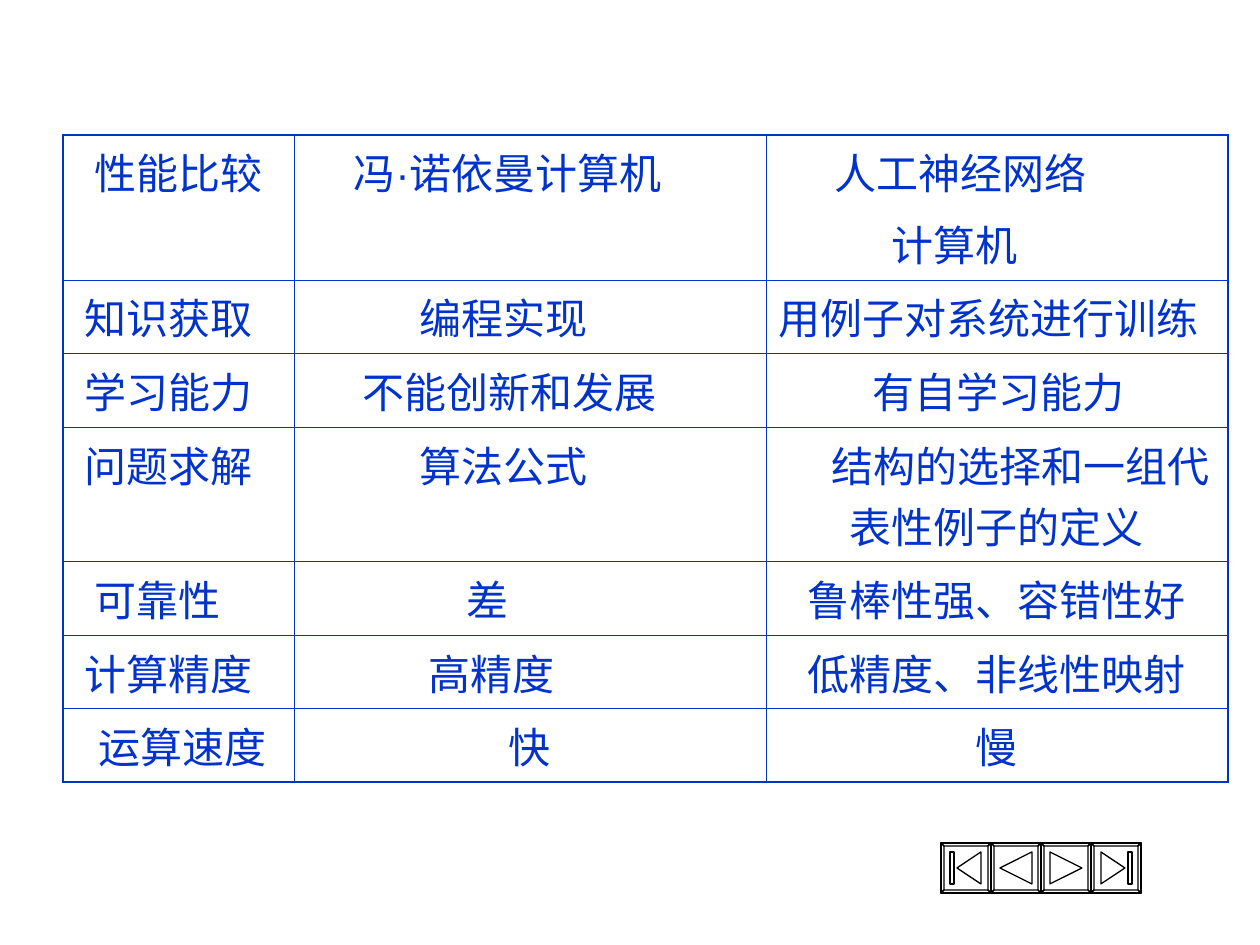
"""Build a slide comparing von Neumann and neural network computers."""
from typing import NamedTuple

from lxml.etree import SubElement
from pptx import Presentation
from pptx.dml.color import RGBColor
from pptx.enum.text import PP_ALIGN as Align
from pptx.oxml.ns import qn
from pptx.util import Emu, Pt

SCALE = 914400 / 126
COLORS = {"blue": "0033CC", "white": "FFFFFF", "black": "000000"}
COLS = (231, 472, 462)
ROWS = (125, 63, 63, 113, 63, 63, 63)
SIZE, BEVEL = 50, 3

Contour = list[tuple[int, int]]


class Para(NamedTuple):
    text: str
    indent: int = 0
    align: Align = Align.LEFT


class Button(NamedTuple):
    left: int
    icon: list[Contour]


TABLE = [
    [[Para("性能比较", 19)], [Para("冯·诺依曼计算机", 47)],
     [Para("人工神经网络", 56), Para("计算机", 113)]],
    [[Para("知识获取", 9)], [Para("编程实现", 113)], [Para("用例子对系统进行训练")]],
    [[Para("学习能力", 9)], [Para("不能创新和发展", 56)], [Para("有自学习能力", 94)]],
    [[Para("问题求解", 9)], [Para("算法公式", 113)],
     [Para("结构的选择和一组代表性例子的定义", 47, Align.CENTER)]],
    [[Para("可靠性", 19)], [Para("差", 160)],
     [Para("鲁棒性强、容错性好", align=Align.CENTER)]],
    [[Para("计算精度", 9)], [Para("高精度", 122)],
     [Para("低精度、非线性映射", align=Align.CENTER)]],
    [[Para("运算速度", 9, Align.CENTER)], [Para("快", align=Align.CENTER)],
     [Para("慢", align=Align.CENTER)]],
]

FIRST = [[(16, 25), (40, 9), (40, 41)], [(9, 9), (13, 9), (13, 41), (9, 41)]]
PREVIOUS = [[(9, 25), (41, 9), (41, 41)]]


def px(n: int) -> Emu:
    """Turn px into EMU."""
    return Emu(round(n * SCALE))


def rgb(name: str) -> RGBColor:
    """Look up a named colour."""
    return RGBColor.from_string(COLORS[name])


def mirror(icon: list[Contour]) -> list[Contour]:
    """Flip an icon from left to right."""
    return [[(SIZE - x, y) for x, y in contour] for contour in icon]


def frame() -> list[Contour]:
    """Give the outline and the four bevels of a button."""
    outer = [(0, 0), (SIZE, 0), (SIZE, SIZE), (0, SIZE)]
    low, high = BEVEL, SIZE - BEVEL
    inner = [(low, low), (high, low), (high, high), (low, high)]
    bevels = [[outer[i - 1], outer[i], inner[i], inner[i - 1]] for i in range(4)]
    return [outer, *bevels]


def add_button(slide, button: Button, top: int) -> None:
    """Draw one navigation button."""
    first, *rest = frame() + button.icon
    builder = slide.shapes.build_freeform(*first[0], scale=SCALE)
    builder.add_line_segments(first[1:], close=True)
    for contour in rest:
        builder.move_to(*contour[0])
        builder.add_line_segments(contour[1:], close=True)
    sp = builder.convert_to_shape(px(button.left), px(top))
    sp.shadow.inherit = False
    sp.fill.solid()
    sp.fill.fore_color.rgb = rgb("white")
    sp.line.color.rgb = rgb("black")
    sp.line.width = Pt(0.75)


def set_borders(cell, **widths: float) -> None:
    """Give a cell its border widths, in points, by side."""
    tcPr = cell._tc.get_or_add_tcPr()
    for i, (side, width) in enumerate(widths.items()):
        ln = SubElement(tcPr, qn(f"a:ln{side}"), w=str(Pt(width)))
        fill = SubElement(ln, qn("a:solidFill"))
        SubElement(fill, qn("a:srgbClr"), val=COLORS["blue"])
        tcPr.insert(i, ln)


def write(tf, paras: list[Para], *, size: int, font: str, color: str,
          gap: int) -> None:
    """Fill a text frame with indented paragraphs."""
    for i, para in enumerate(paras):
        p = tf.add_paragraph() if i else tf.paragraphs[0]
        p.alignment = para.align
        p.space_before = Pt(gap if i else 0)
        p._p.get_or_add_pPr().set("indent", str(px(para.indent)))
        r = p.add_run()
        r.text = para.text
        r.font.size = Pt(size)
        r.font.name = font
        r.font.color.rgb = rgb(color)


def add_comparison(slide, left: int, top: int) -> None:
    """Draw the comparison table."""
    table = slide.shapes.add_table(len(ROWS), len(COLS), px(left), px(top),
                                   px(sum(COLS)), px(sum(ROWS))).table
    table.first_row = table.horz_banding = False
    for column, width in zip(table.columns, COLS):
        column.width = px(width)
    thin, thick = 0.45, 1.08
    for i, (height, row) in enumerate(zip(ROWS, TABLE)):
        table.rows[i].height = px(height)
        for j, paras in enumerate(row):
            cell = table.cell(i, j)
            cell.fill.background()
            set_borders(cell, L=thin if j else thick,
                        R=thick if j == len(COLS) - 1 else thin,
                        T=thin if i else thick,
                        B=thick if i == len(ROWS) - 1 else thin)
            write(cell.text_frame, paras, size=24, font="Arial", color="blue", gap=6)


def main() -> None:
    """Build and save the slide."""
    prs = Presentation()
    prs.slide_width, prs.slide_height = px(1260), px(945)
    slide = prs.slides.add_slide(prs.slide_layouts[6])
    icons = (FIRST, PREVIOUS, mirror(PREVIOUS), mirror(FIRST))
    for i, icon in enumerate(icons):
        add_button(slide, Button(941 + i * SIZE, icon), top=843)
    add_comparison(slide, left=63, top=135)
    prs.save("out.pptx")


if __name__ == "__main__":
    main()
